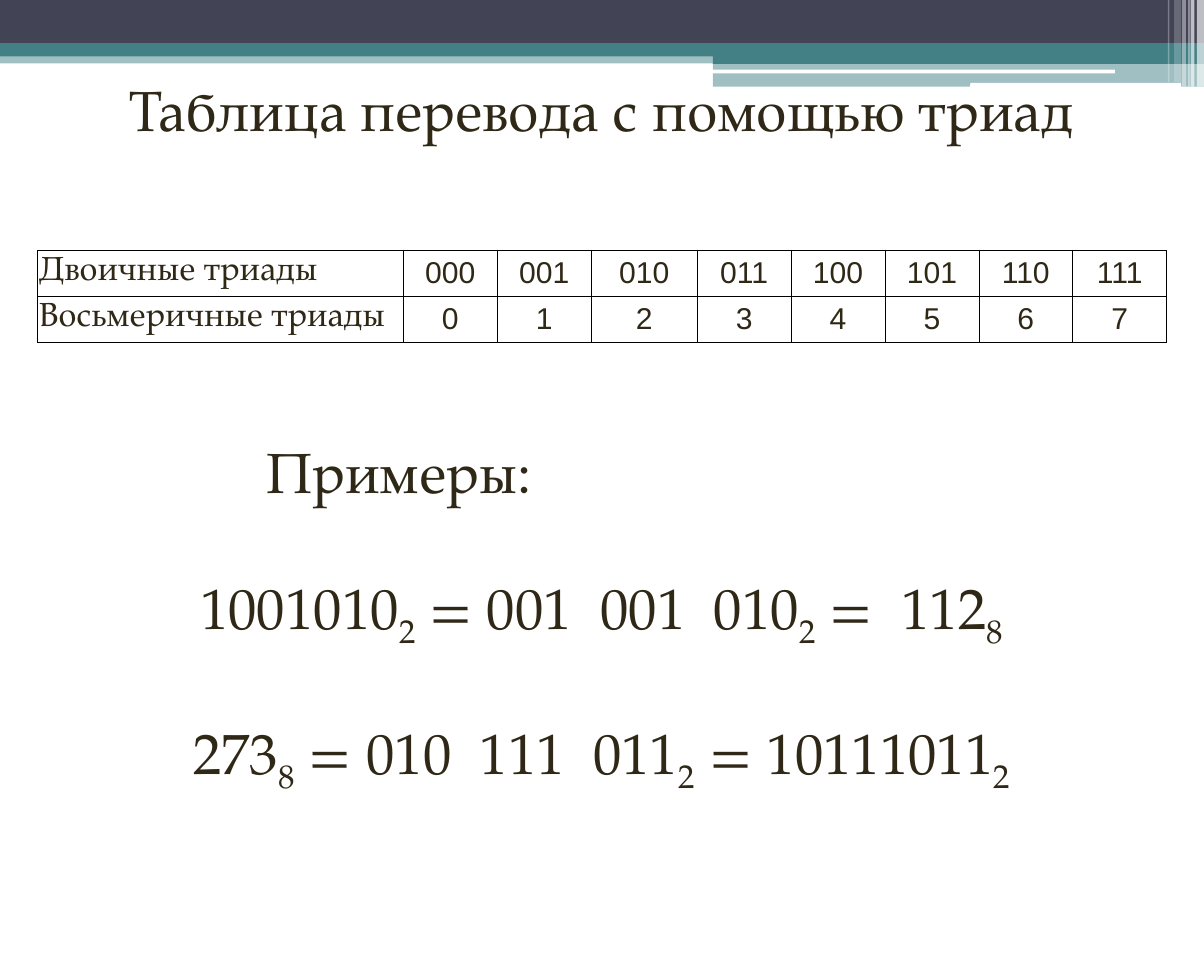
"""Builds the slide on converting numbers with binary triads."""
from lxml import etree
from pptx import Presentation
from pptx import util as u
from pptx.dml.color import RGBColor
from pptx.enum import shapes, text
from pptx.oxml.ns import qn

COLORS = {"navy": "424456", "teal": "438086", "white": "FFFFFF", "ink": "2F2817", "grid": "000000"}
SERIF, SANS = "TeX Gyre Pagella", "Arial"
RECT, ROUND = shapes.MSO_SHAPE.RECTANGLE, shapes.MSO_SHAPE.ROUNDED_RECTANGLE
LEFT, CENTER = text.PP_ALIGN.LEFT, text.PP_ALIGN.CENTER
SLIDE_WIDTH, SLIDE_HEIGHT = 25.4, 20.32

BANDS = [
    (RECT, 0, 1.09, 25.4, 0.25, "teal", 50),
    (RECT, 0, 0, 25.4, 0.91, "navy", 100),
    (RECT, 0, 0.91, 25.4, 0.28, "teal", 100),
    (RECT, 15.04, 1.07, 10.36, 0.28, "teal", 100),
    (RECT, 15.04, 1.3, 10.36, 0.53, "teal", 50),
    (ROUND, 15.01, 1.47, 8.51, 0.08, "white", 100),
    (ROUND, 20.47, 1.75, 4.45, 0.1, "white", 100),
]
STRIPES = [
    (25.25, 0.15, 1.83, 65),
    (25.12, 0.08, 1.83, 65),
    (25.07, 0.03, 1.83, 60),
    (24.94, 0.08, 1.83, 40),
    (24.77, 0.15, 1.73, 20),
    (24.64, 0.03, 1.73, 30),
]

TITLE = "Таблица перевода с помощью триад"
ROWS = [
    ["Двоичные триады"] + [f"{digit:03b}" for digit in range(8)],
    ["Восьмеричные триады"] + [str(digit) for digit in range(8)],
]
COLUMN_WIDTHS = [7.72, 1.98, 1.98, 2.24] + [1.98] * 5
ROW_HEIGHT = 0.97
EXAMPLES_HEADING = "Примеры:"
EXAMPLES = [
    [("1001010", "2"), (" = 001  001  010", "2"), (" =  112", "8")],
    [("273", "8"), (" = 010  111  011", "2"), (" = 10111011", "2")],
]
HEADING_INDENT = 2.54
EXAMPLE_GAP = 40.5


def color(name):
    return RGBColor.from_string(COLORS[name])


def add_bar(slide, kind, left, top, width, height, fill, opacity):
    shape = slide.shapes.add_shape(kind, u.Cm(left), u.Cm(top), u.Cm(width), u.Cm(height))
    shape.shadow.inherit = False
    shape.line.fill.background()
    shape.fill.solid()
    shape.fill.fore_color.rgb = color(fill)
    if opacity < 100:
        tint = shape.fill._xPr.find(".//" + qn("a:srgbClr"))
        etree.SubElement(tint, qn("a:alpha"), val=str(opacity * 1000))


def add_run(paragraph, words, size=34, font=SERIF, subscript=False):
    run = paragraph.add_run()
    run.text = words
    run.font.size = u.Pt(size)
    run.font.name = font
    run.font.color.rgb = color("ink")
    if subscript:
        run.font._element.set("baseline", "-25000")


def add_text_box(slide, left, top, width, height):
    frame = slide.shapes.add_textbox(u.Cm(left), u.Cm(top), u.Cm(width), u.Cm(height)).text_frame
    frame.word_wrap = True
    return frame


def add_borders(cell):
    properties = cell._tc.get_or_add_tcPr()
    for position, side in enumerate(("a:lnL", "a:lnR", "a:lnT", "a:lnB")):
        line = etree.Element(qn(side), w=str(u.Pt(0.45)))
        fill = etree.SubElement(line, qn("a:solidFill"))
        etree.SubElement(fill, qn("a:srgbClr"), val=COLORS["grid"])
        properties.insert(position, line)


def add_triad_table(slide):
    frame = slide.shapes.add_table(
        len(ROWS), len(COLUMN_WIDTHS), u.Cm(0.79), u.Cm(5.28),
        u.Cm(sum(COLUMN_WIDTHS)), u.Cm(ROW_HEIGHT * len(ROWS)))
    table = frame.table
    table.first_row = table.horz_banding = False
    for column, width in zip(table.columns, COLUMN_WIDTHS):
        column.width = u.Cm(width)
    for row, values in enumerate(ROWS):
        table.rows[row].height = u.Cm(ROW_HEIGHT)
        for column, value in enumerate(values):
            cell = table.cell(row, column)
            cell.margin_left = cell.margin_right = u.Cm(0.03)
            cell.margin_top = cell.margin_bottom = u.Cm(0.13)
            cell.vertical_anchor = text.MSO_ANCHOR.MIDDLE
            cell.fill.solid()
            cell.fill.fore_color.rgb = color("white")
            add_borders(cell)
            paragraph = cell.text_frame.paragraphs[0]
            paragraph.alignment = CENTER if column else LEFT
            size, font = (18, SANS) if column else (20, SERIF)
            add_run(paragraph, value, size, font)


def add_examples(slide):
    frame = add_text_box(slide, 2.84, 9.09, 19.71, 9.68)
    heading = frame.paragraphs[0]
    heading._p.get_or_add_pPr().set("marL", str(u.Cm(HEADING_INDENT)))
    add_run(heading, EXAMPLES_HEADING)
    for example in EXAMPLES:
        paragraph = frame.add_paragraph()
        paragraph.alignment = CENTER
        paragraph.space_before = u.Pt(EXAMPLE_GAP)
        for number, base in example:
            add_run(paragraph, number)
            add_run(paragraph, base, subscript=True)


def main():
    presentation = Presentation()
    presentation.slide_width = u.Cm(SLIDE_WIDTH)
    presentation.slide_height = u.Cm(SLIDE_HEIGHT)
    slide = presentation.slides.add_slide(presentation.slide_layouts[6])
    for band in BANDS:
        add_bar(slide, *band)
    for left, width, height, opacity in STRIPES:
        add_bar(slide, RECT, left, 0, width, height, "white", opacity)
    add_triad_table(slide)
    title = add_text_box(slide, 1.09, 1.45, 23.22, 1.7).paragraphs[0]
    title.alignment = CENTER
    add_run(title, TITLE)
    add_examples(slide)
    presentation.save("out.pptx")


if __name__ == "__main__":
    main()
